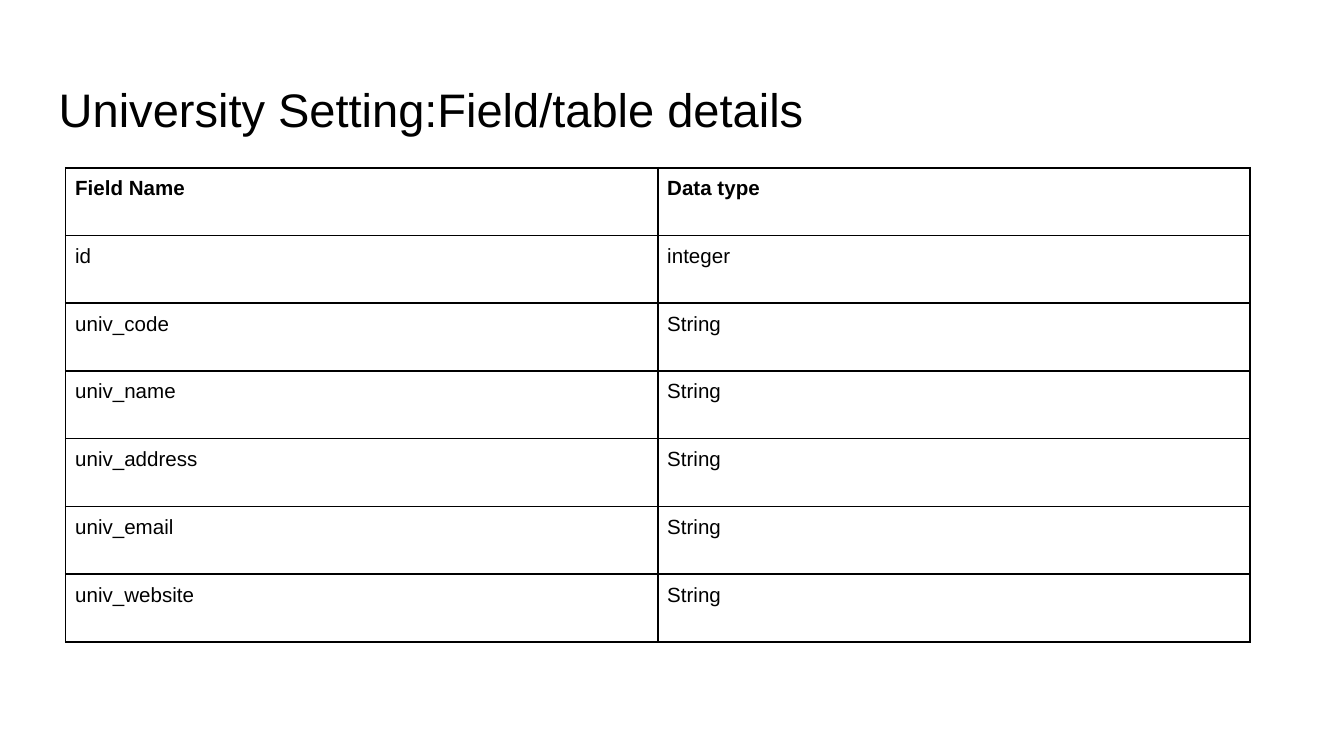
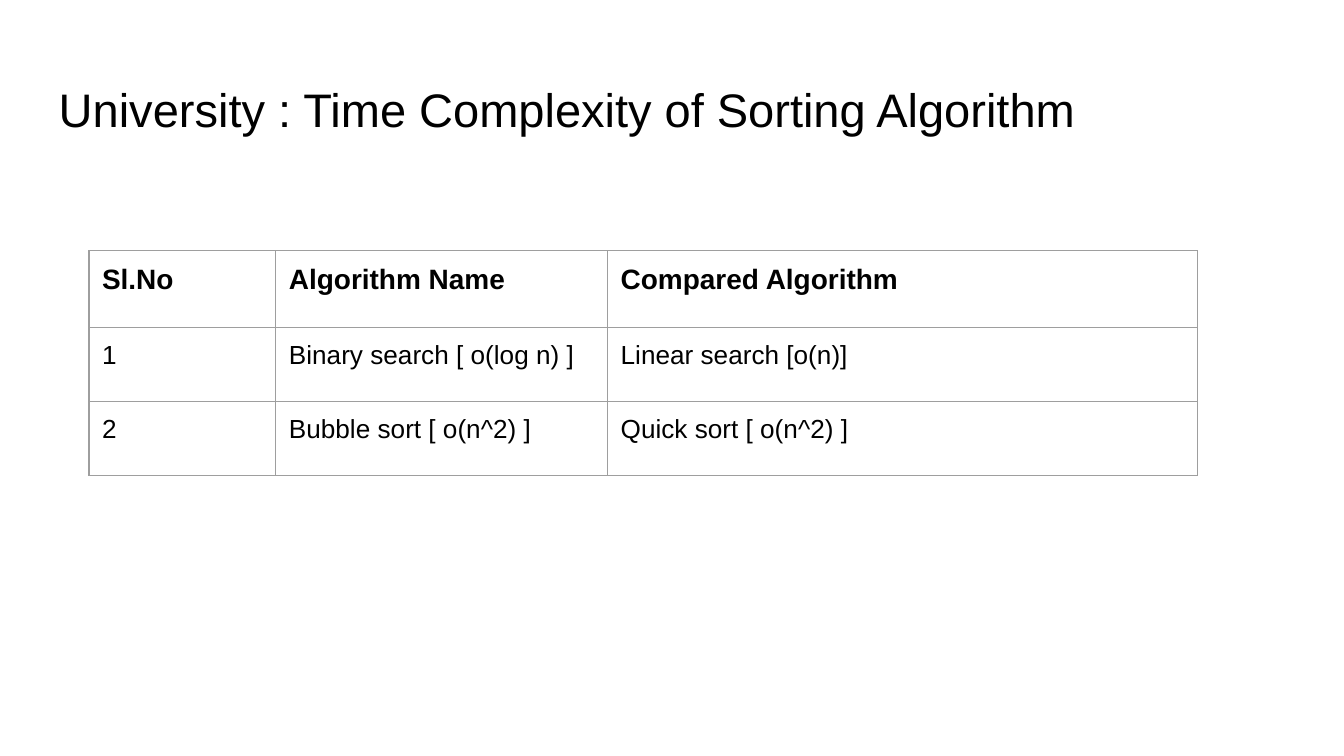
from lxml import etree
from pptx import Presentation
from pptx.dml.color import RGBColor
from pptx.enum.text import MSO_ANCHOR
from pptx.oxml.ns import qn
from pptx.util import Cm, Pt

BOTTOM = MSO_ANCHOR.BOTTOM
BLACK = RGBColor(0x00, 0x00, 0x00)
GREY = RGBColor(0x9E, 0x9E, 0x9E)
WHITE = RGBColor(0xFF, 0xFF, 0xFF)
FONT = "Arial"
TITLE_BOX = (Cm(0.86), Cm(1.24), Cm(23.67), Cm(1.6))

FIELDS = [
    ("Field Name", "Data type"),
    ("id", "integer"),
    ("univ_code", "String"),
    ("univ_name", "String"),
    ("univ_address", "String"),
    ("univ_email", "String"),
    ("univ_website", "String"),
]
ALGORITHMS = [
    ("Sl.No", "Algorithm Name", "Compared Algorithm"),
    ("1", "Binary search [ o(log n) ]", "Linear search [o(n)]"),
    ("2", "Bubble sort [ o(n^2) ]", "Quick sort [ o(n^2) ]"),
]


def write(frame, text, *, size, bold=False, color=BLACK):
    """Put one formatted run of text into a text frame."""
    span = frame.paragraphs[0].add_run()
    span.text = text
    span.font.name = FONT
    span.font.size = Pt(size)
    span.font.bold = bold
    span.font.color.rgb = color


def set_margins(holder, margin):
    holder.margin_left = holder.margin_right = margin
    holder.margin_top = holder.margin_bottom = margin


def set_borders(cell, color, width):
    """Draw a solid line on all four sides of a cell."""
    properties = cell._tc.get_or_add_tcPr()
    for side in ("a:lnL", "a:lnR", "a:lnT", "a:lnB"):
        line = etree.SubElement(properties, qn(side), w=str(Pt(width)))
        fill = etree.SubElement(line, qn("a:solidFill"))
        etree.SubElement(fill, qn("a:srgbClr"), val=str(color))


def add_page(deck, title):
    """Add a white page with its title."""
    page = deck.slides.add_slide(deck.slide_layouts[6])
    page.background.fill.solid()
    page.background.fill.fore_color.rgb = WHITE
    frame = page.shapes.add_textbox(*TITLE_BOX).text_frame
    frame.word_wrap = True
    frame.vertical_anchor = BOTTOM
    set_margins(frame, Cm(0.25))
    write(frame, title, size=25.2)
    return page


def add_grid(page, left, top, content, *, widths, heights, margin,
             header_size, body_size, border, border_width):
    """Add a ruled table with a bold header row."""
    table = page.shapes.add_table(len(heights), len(widths), left, top,
                                  sum(widths), sum(heights)).table
    table.first_row = table.horz_banding = False
    for column, width in zip(table.columns, widths):
        column.width = width
    for index, (row, height, texts) in enumerate(zip(table.rows, heights, content)):
        row.height = height
        header = index == 0
        for cell, text in zip(row.cells, texts):
            set_margins(cell, margin)
            set_borders(cell, border, border_width)
            cell.fill.background()
            write(cell.text_frame, text, bold=header,
                  size=header_size if header else body_size)


def main():
    deck = Presentation()
    deck.slide_width, deck.slide_height = Cm(25.4), Cm(14.29)

    # Field list
    page = add_page(deck, "University Setting:Field/table details")
    add_grid(page, Cm(1.24), Cm(3.17), FIELDS,
             widths=[Cm(11.19)] * 2, heights=[Cm(1.28)] * len(FIELDS),
             margin=Cm(0.18), header_size=11, body_size=11,
             border=BLACK, border_width=1)

    # Algorithm comparison
    page = add_page(deck, "University : Time Complexity of Sorting Algorithm")
    add_grid(page, Cm(1.68), Cm(4.74), ALGORITHMS,
             widths=[Cm(3.53), Cm(6.27), Cm(11.15)],
             heights=[Cm(1.45), Cm(1.4), Cm(1.4)],
             margin=Cm(0.25), header_size=15, body_size=14,
             border=GREY, border_width=0.75)

    deck.save("out.pptx")


if __name__ == "__main__":
    main()
